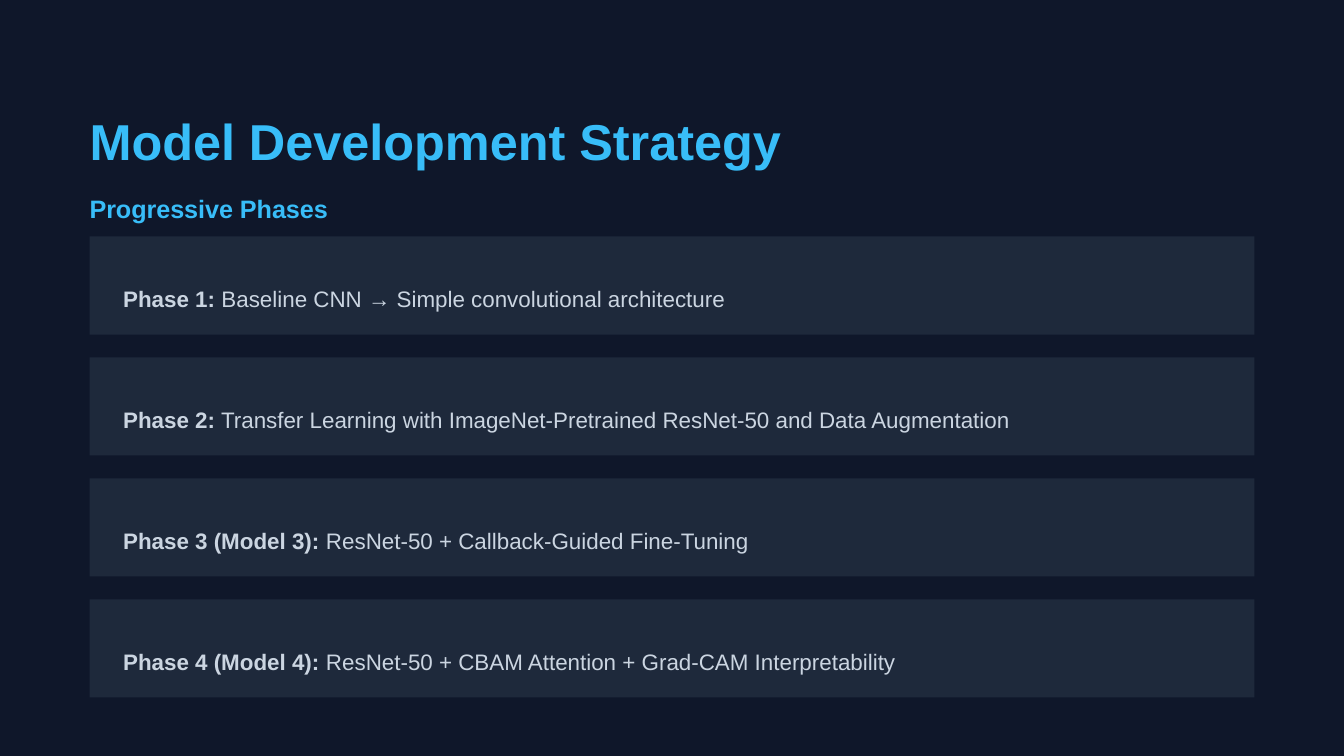
from dataclasses import dataclass

from pptx import Presentation
from pptx import util as u
from pptx.dml.color import RGBColor
from pptx.enum import shapes, text


@dataclass(frozen=True)
class Theme:
    font: str = "Arial"
    background: RGBColor = RGBColor.from_string("0F172A")
    card: RGBColor = RGBColor.from_string("1E293B")
    accent: RGBColor = RGBColor.from_string("38BDF8")
    body: RGBColor = RGBColor.from_string("CBD5E1")
    title_size: float = 27
    subtitle_size: float = 13.5
    body_size: float = 12


THEME = Theme()
MARGIN = 2 / 3

PHASES = [
    ("Phase 1:", " Baseline CNN → Simple convolutional architecture"),
    ("Phase 2:", " Transfer Learning with ImageNet-Pretrained ResNet-50 and Data Augmentation"),
    ("Phase 3 (Model 3):", " ResNet-50 + Callback-Guided Fine-Tuning"),
    ("Phase 4 (Model 4):", " ResNet-50 + CBAM Attention + Grad-CAM Interpretability"),
]


def add_line(page, box, parts, size, color, spacing):
    """Place one line of text; parts are (wording, bold) pairs."""
    frame = page.shapes.add_textbox(*map(u.Inches, box)).text_frame
    frame.word_wrap = True
    frame.vertical_anchor = text.MSO_ANCHOR.TOP
    frame.margin_left = frame.margin_right = 0
    frame.margin_top = frame.margin_bottom = 0
    para = frame.paragraphs[0]
    para.line_spacing = u.Pt(spacing)
    para.font.name = THEME.font
    para.font.size = u.Pt(size)
    para.font.color.rgb = color
    for wording, bold in parts:
        span = para.add_run()
        span.text = wording
        span.font.bold = bold


def add_heading(page, box):
    left, top, width, _ = box
    add_line(page, (left, top, width, 0.45), [("Model Development Strategy", True)],
             THEME.title_size, THEME.accent, 43.2)
    add_line(page, (left, top + 0.7, width, 0.22), [("Progressive Phases", True)],
             THEME.subtitle_size, THEME.accent, 21.6)


def add_phase_card(page, box, label, description):
    left, top, width, _ = box
    card = page.shapes.add_shape(shapes.MSO_SHAPE.RECTANGLE, *map(u.Inches, box))
    card.shadow.inherit = False
    card.fill.solid()
    card.fill.fore_color.rgb = THEME.card
    card.line.fill.background()
    add_line(page, (left + 0.25, top + 0.25, width - 0.34, 0.23),
             [(label, True), (description, False)],
             THEME.body_size, THEME.body, 22.4)


def add_phases(page, box, gap=0.17):
    left, top, width, height = box
    card_height = (height - gap * (len(PHASES) - 1)) / len(PHASES)
    for index, (label, description) in enumerate(PHASES):
        card_top = top + index * (card_height + gap)
        add_phase_card(page, (left, card_top, width, card_height), label, description)


def main():
    deck = Presentation()
    deck.slide_width = u.Inches(10)
    deck.slide_height = deck.slide_width * 9 // 16
    page = deck.slides.add_slide(deck.slide_layouts[6])
    page.background.fill.solid()
    page.background.fill.fore_color.rgb = THEME.background

    # Title and subtitle
    add_heading(page, (MARGIN, MARGIN, 8.84, 0.92))
    # Stack of phase cards
    add_phases(page, (MARGIN, 1.76, 10 - 2 * MARGIN, 3.43))

    deck.save("out.pptx")


if __name__ == "__main__":
    main()
